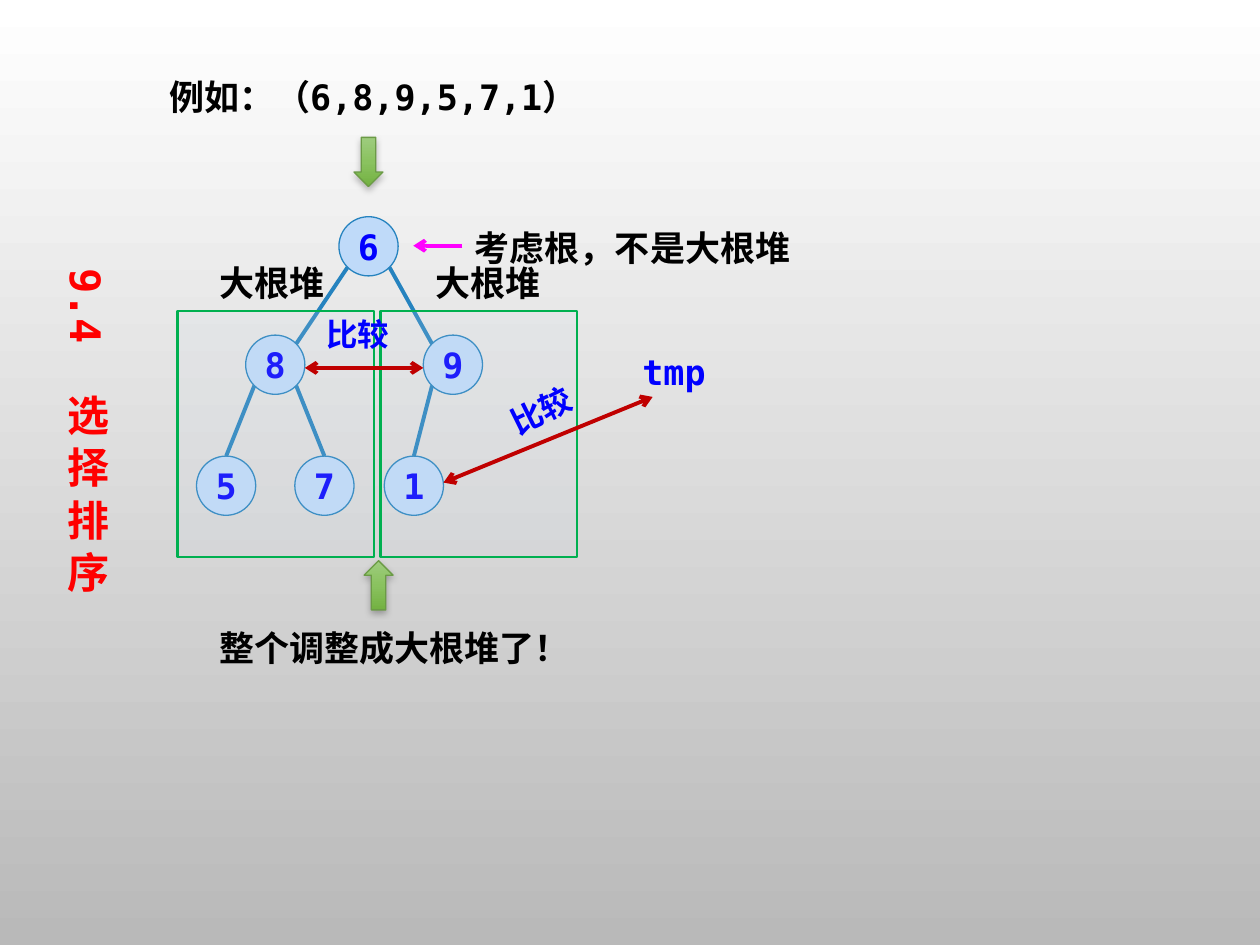
import copy

import pptx
import pptx.dml.color
import pptx.enum.shapes
import pptx.enum.text
import pptx.oxml
import pptx.oxml.ns
import pptx.util
from pptx.util import Inches

RGBColor = pptx.dml.color.RGBColor
SHAPE = pptx.enum.shapes.MSO_SHAPE
CENTER = pptx.enum.text.PP_ALIGN.CENTER
MIDDLE = pptx.enum.text.MSO_ANCHOR.MIDDLE
qn = pptx.oxml.ns.qn

WHITE = RGBColor(0xFF, 0xFF, 0xFF)
GRAY = RGBColor(0xB9, 0xB9, 0xB9)
BLACK = RGBColor(0, 0, 0)
BLUE = RGBColor(0, 0, 0xFF)
RED = RGBColor(0xFF, 0, 0)
DARK_RED = RGBColor(0xC0, 0, 0)
MAGENTA = RGBColor(0xFF, 0, 0xFF)
NODE_FILL = RGBColor(0xBF, 0xDA, 0xF9)
NODE_LINE = RGBColor(0x26, 0x83, 0xBF)
HEAP_FILL = RGBColor(0xD0, 0xDB, 0xE9)
HEAP_LINE = RGBColor(0x00, 0xB0, 0x50)
ARROW_LINE = RGBColor(0x6B, 0x9B, 0x46)
ARROW_FILL = [RGBColor(0x9E, 0xCC, 0x7E), RGBColor(0x73, 0xB1, 0x42)]
ARROW_MIDDLE = "8AC25F"

MONO = "DejaVu Sans Mono"
CJK = "Noto Sans CJK SC"

NODE_SIZE = 0.47
DIAGONAL = NODE_SIZE / 2 * 0.7071  # offset of a circle's 45 degree points


def add_xml(parent, tag, **attributes):
    child = parent.makeelement(qn(tag), attributes)
    parent.append(child)
    return child


def set_gradient(fill, colors):
    """Fill from top to bottom with two colours."""
    fill.gradient()
    fill.gradient_angle = 270
    for stop, color, position in zip(fill.gradient_stops, colors, (0, 1)):
        stop.color.rgb = color
        stop.position = position


def style_text(para, text, size, color, font=MONO):
    span = para.add_run()
    span.text = text
    para.font.size = pptx.util.Pt(size)
    para.font.bold = True
    para.font.color.rgb = color
    para.font.name = font
    add_xml(para.font._element, "a:ea", typeface=CJK)


def add_label(page, text, left, top, width, height=0.44, size=20,
              color=BLACK, font=CJK, rotation=0):
    box = page.shapes.add_textbox(
        Inches(left), Inches(top), Inches(width), Inches(height))
    box.rotation = rotation
    box.text_frame.word_wrap = True
    style_text(box.text_frame.paragraphs[0], text, size, color, font)
    return box


def add_outlined(page, kind, left, top, width, height, line, weight):
    shape = page.shapes.add_shape(
        kind, Inches(left), Inches(top), Inches(width), Inches(height))
    shape.shadow.inherit = False
    shape.line.color.rgb = line
    shape.line.width = pptx.util.Pt(weight)
    return shape


def add_node(page, value, left, top):
    node = add_outlined(page, SHAPE.OVAL, left, top, NODE_SIZE, NODE_SIZE,
                        NODE_LINE, 0.75)
    node.fill.solid()
    node.fill.fore_color.rgb = NODE_FILL
    frame = node.text_frame
    frame.margin_left = frame.margin_right = 0
    frame.vertical_anchor = MIDDLE
    para = frame.paragraphs[0]
    para.alignment = CENTER
    style_text(para, value, 20, BLUE)
    return node


def add_heap_frame(page, left):
    frame = add_outlined(page, SHAPE.RECTANGLE, left, 2.47, 1.56, 1.95,
                         HEAP_LINE, 1.25)
    frame.fill.solid()
    frame.fill.fore_color.rgb = HEAP_FILL
    color = frame._element.spPr.find(qn("a:solidFill"))[0]
    add_xml(color, "a:alpha", val="14000")


def add_block_arrow(page, kind, left, top):
    arrow = add_outlined(page, kind, left, top, 0.23, 0.39, ARROW_LINE, 0.75)
    set_gradient(arrow.fill, ARROW_FILL)
    properties = arrow._element.spPr
    # Middle gradient stop
    stops = properties.find(qn("a:gradFill")).find(qn("a:gsLst"))
    middle = copy.deepcopy(stops[0])
    middle.set("pos", "50000")
    middle[0].set("val", ARROW_MIDDLE)
    stops.insert(1, middle)
    # Soft shadow below
    shadow = add_xml(properties.find(qn("a:effectLst")), "a:outerShdw",
                     blurRad=str(pptx.util.Pt(4)), dist=str(pptx.util.Pt(2)),
                     dir="5400000", algn="ctr", rotWithShape="0")
    color = add_xml(shadow, "a:srgbClr", val="000000")
    add_xml(color, "a:alpha", val="28000")


def add_line(page, start, end, color=NODE_LINE, heads=()):
    line = page.shapes.add_connector(
        pptx.enum.shapes.MSO_CONNECTOR.STRAIGHT,
        *(Inches(length) for length in (*start, *end)))
    line.line.color.rgb = color
    line.line.width = pptx.util.Pt(2.25)
    for head in heads:
        add_xml(line.line._get_or_add_ln(), head, type="arrow")
    add_xml(line._element.spPr, "a:effectLst")
    return line


def circle_point(corner, right, down):
    """Diagonal point of the node at corner; right and down are 1 or -1."""
    middle = NODE_SIZE / 2
    return (corner[0] + middle + right * DIAGONAL,
            corner[1] + middle + down * DIAGONAL)


def main():
    deck = pptx.Presentation()
    deck.slide_width, deck.slide_height = Inches(10), Inches(7.5)
    page = deck.slides.add_slide(deck.slide_layouts[6])
    set_gradient(page.background.fill, [WHITE, GRAY])

    add_label(page, "例如：（6,8,9,5,7,1）", 1.25, 0.55, 5.31, font=MONO)

    # Tree: nodes below the root, then edges as (parent, child, side)
    corners = {"6": (2.69, 1.72), "8": (1.95, 2.66), "9": (3.36, 2.66),
               "5": (1.56, 3.62), "7": (2.34, 3.62), "1": (3.05, 3.62)}
    nodes = {value: add_node(page, value, *corners[value])
             for value in "89571"}
    for parent, child, side in [("8", "5", -1), ("8", "7", 1), ("6", "8", -1),
                                ("6", "9", 1), ("9", "1", -1)]:
        edge = add_line(page, circle_point(corners[parent], side, 1),
                        circle_point(corners[child], -side, -1))
        if child in "571":
            edge.end_connect(nodes[child], 0)

    # The two sub-heaps
    for left in (3.02, 1.41):
        add_heap_frame(page, left)
    for left in (1.64, 3.36):
        add_label(page, "大根堆", left, 2.03, 1.25)
    add_block_arrow(page, SHAPE.DOWN_ARROW, 2.81, 1.09)

    # Remark on the root
    add_line(page, (3.67, 1.95), (3.28, 1.95), MAGENTA, ["a:tailEnd"])
    add_label(page, "考虑根，不是大根堆", 3.67, 1.75, 3.2)

    # Comparisons
    both = ["a:headEnd", "a:tailEnd"]
    add_line(page, (2.42, 2.92), (3.36, 2.92), DARK_RED, both)
    add_label(page, "比较", 2.49, 2.45, 0.78, 0.4, 18, BLUE)
    add_label(page, "tmp", 5, 2.73, 0.75, color=BLUE, font=MONO)
    add_node(page, "6", *corners["6"])
    add_line(page, (3.52, 3.83), (5.18, 3.15), DARK_RED, both)
    add_label(page, "比较", 3.94, 3.04, 0.78, 0.4, 18, BLUE, rotation=333.7)

    # Result
    add_label(page, "整个调整成大根堆了！", 1.64, 4.92, 3.13)
    add_block_arrow(page, SHAPE.UP_ARROW, 2.89, 4.45)

    # Vertical section title
    title = add_label(page, "9.4  选 择 排 序", 0.33, 2.03, 0.61, 3.2, 24,
                      RED, MONO)
    title.text_frame._txBody.bodyPr.set("vert", "eaVert")
    title.text_frame.paragraphs[0].alignment = CENTER

    deck.save("out.pptx")


if __name__ == "__main__":
    main()
